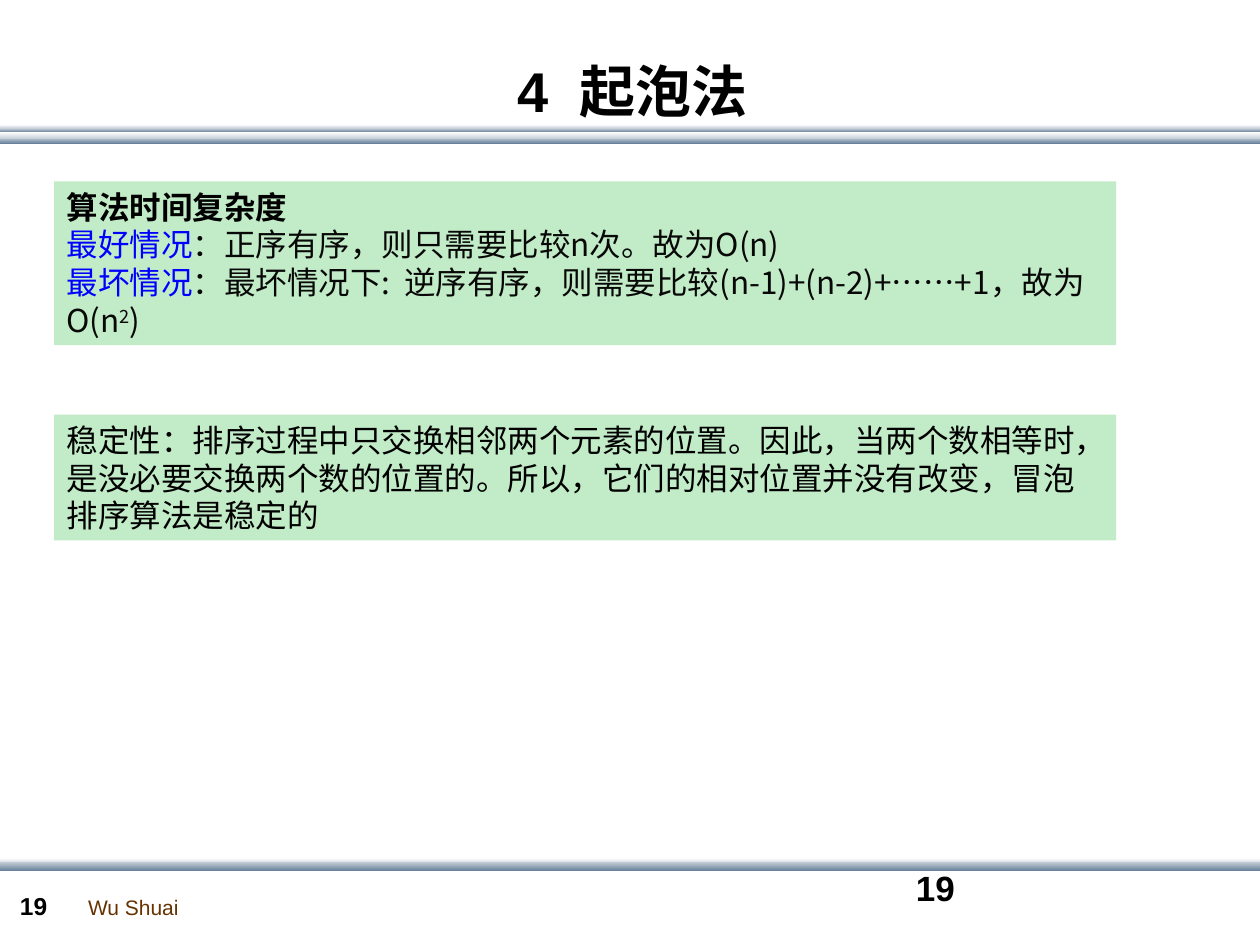
from pptx import Presentation
from pptx.dml.color import RGBColor as Rgb
from pptx.enum.shapes import MSO_SHAPE as Kind
from pptx.enum.text import MSO_ANCHOR as Anchor, PP_ALIGN as Align
from pptx.oxml.ns import qn
from pptx.util import Inches, Pt
from lxml.etree import SubElement

# Grid: 100 columns by 75 rows; boxes are (column, row, columns, rows).
COLS, ROWS = 100, 75
WIDE, HIGH = Inches(10), Inches(7.5)
INK = {
    "white": "FFFFFF", "mist": "C8D1DA", "steel": "6A839C", "mint": "C2EBC7",
    "black": "000000", "soft": "080808", "blue": "0000FF", "brown": "663300",
}
HAN = "Noto Sans CJK SC"
HEAD = {"name": "Arial", "bold": True}
BODY = {"name": HAN, "size": Pt(18), "bold": False}
BREAK = "\n"


def hue(name):
    return Rgb.from_string(INK[name])


def place(box):
    col, row, cols, rows = box
    return (round(WIDE * col / COLS), round(HIGH * row / ROWS),
            round(WIDE * cols / COLS), round(HIGH * rows / ROWS))


def block(slide, box):
    shape = slide.shapes.add_shape(Kind.RECTANGLE, *place(box))
    shape.shadow.inherit = False
    shape.line.fill.background()
    return shape


def band(slide, box, top, end):
    """Draw a bar that fades downwards from one colour to another."""
    fill = block(slide, box).fill
    fill.gradient()
    fill.gradient_angle = 270
    for stop, name in zip(fill.gradient_stops, (top, end)):
        stop.color.rgb = hue(name)


def add_run(para, text, look, ink="black", base=None):
    run = para.add_run()
    run.text = text
    for key, value in look.items():
        setattr(run.font, key, value)
    run.font.color.rgb = hue(ink)
    props = run.font._element
    SubElement(props, qn("a:ea")).set("typeface", HAN)
    if base:
        props.set("baseline", str(base * 1000))


def write(shape, paras, look, align=Align.LEFT, anchor=Anchor.TOP, wrap=True):
    """Fill a shape with paragraphs, each a list of (text, ink, ...) runs."""
    frame = shape.text_frame
    frame.word_wrap = wrap
    frame.vertical_anchor = anchor
    for i, parts in enumerate(paras):
        para = frame.add_paragraph() if i else frame.paragraphs[0]
        para.alignment = align
        for part in parts:
            if part == BREAK:
                para.add_line_break()
            else:
                text, ink, *rest = part
                more = rest[0] if rest else {}
                base = more.get("base")
                extra = {k: v for k, v in more.items() if k != "base"}
                add_run(para, text, {**look, **extra}, ink, base)


def label(slide, box, text, look, ink="black", **form):
    shape = slide.shapes.add_textbox(*place(box))
    write(shape, [[(text, ink)]], look, **form)


def panel(slide, box, paras):
    shape = block(slide, box)
    shape.fill.solid()
    shape.fill.fore_color.rgb = hue("mint")
    write(shape, paras, BODY)


def header(slide, box):
    col, row, cols, rows = box
    for down, tall, top, end in (
        (6.5, 0.5, "mist", "steel"), (5.8, 0.3, "mist", "steel"),
        (6.1, 0.5, "white", "mist"), (5.5, 0.3, "white", "mist"),
    ):
        band(slide, (col, row + down, cols, tall), top, end)
    label(slide, (col + 2.2, row, 96, 5.5), "4  起泡法",
          {**HEAD, "size": Pt(32)}, align=Align.CENTER, anchor=Anchor.MIDDLE)


def footer(slide, box, page):
    col, row, cols, rows = box
    band(slide, (col, row, cols, 0.5), "white", "mist")
    band(slide, (col, row + 0.3, cols, 0.7), "mist", "steel")
    label(slide, (col + 6, row + 2.4, 9.2, 3), "Wu Shuai",
          {"name": "Arial", "size": Pt(12)}, "brown", wrap=False)
    label(slide, (col + 0.6, row + 2.1, 5.5, 3.4), page, {**HEAD, "size": Pt(14)})
    label(slide, (col + 71.7, row + 0.2, 23.3, 5), page, {**HEAD, "size": Pt(20)})


def content(slide, box):
    col, row, cols, rows = box
    panel(slide, (col, row, cols, 13), [
        [("算法时间复杂度", "black", {"bold": True}), BREAK,
         ("最好情况", "blue"),
         ("：正序有序，则只需要比较n次。故为O(n)", "soft")],
        [("最坏情况", "blue"),
         ("：最坏情况下:  逆序有序，则需要比较(n-1)+(n-2)+……+1，故为O(n", "soft"),
         ("2", "soft", {"base": 30}), (")", "soft")],
    ])
    panel(slide, (col, row + 18.5, cols, 10), [[
        ("稳定性：排序过程中只交换相邻两个元素的位置。因此，当两个数相等时，"
         "是没必要交换两个数的位置的。所以，它们的相对位置并没有改变，"
         "冒泡排序算法是稳定的", "black"),
    ]])


def main():
    deck = Presentation()
    deck.slide_width, deck.slide_height = WIDE, HIGH
    slide = deck.slides.add_slide(deck.slide_layouts[6])
    header(slide, (0, 4.4, COLS, 7))
    content(slide, (4.3, 14.4, 84.3, 28.5))
    footer(slide, (0, 68.1, COLS, 6.9), "19")
    deck.save("out.pptx")


if __name__ == "__main__":
    main()
